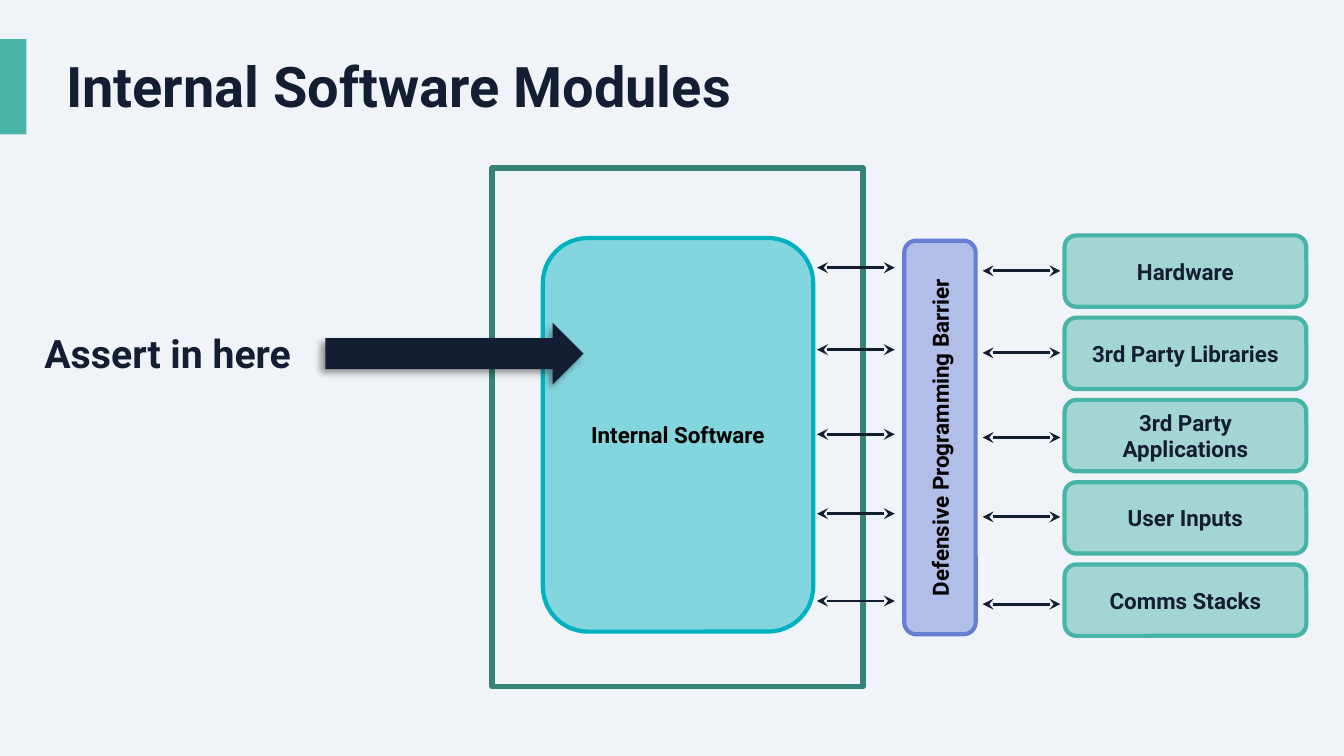
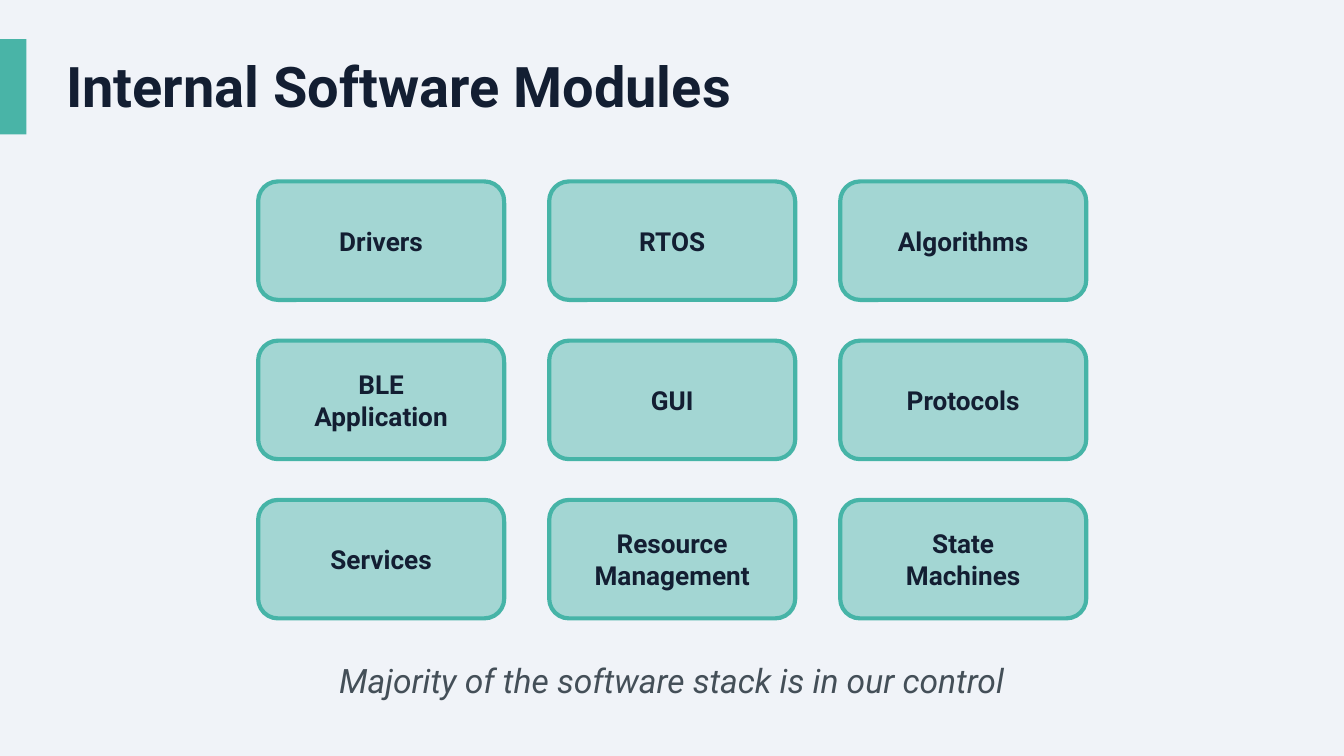
from collections import namedtuple

from pptx import Presentation
from pptx.dml.color import RGBColor
from pptx.enum.shapes import MSO_CONNECTOR, MSO_SHAPE
from pptx.enum.text import MSO_ANCHOR, MSO_AUTO_SIZE, PP_ALIGN
from pptx.oxml.ns import qn
from pptx.oxml.xmlchemy import OxmlElement
from pptx.util import Cm, Pt

# Shared look
FONT = "Roboto"
PAPER, INK, BLACK, GREY = "F0F3F8", "131E32", "000000", "444F58"
BAND, GREEN, DARK_GREEN = "49B4A7", "46B4A7", "358379"
CYAN, PURPLE = "00B1C0", "657ED4"
TITLE = "Internal Software Modules"
TITLE_ONLY = 5
TEXT_INSETS = (0.18, 0.1)
CARD_INSETS = (0.25, 0.25)

# Slide content
EXTERNALS = ["Hardware", "3rd Party Libraries", "3rd Party Applications",
             "User Inputs", "Comms Stacks"]
ARROW_DROPS = [0, 1.55, 3.15, 4.65, 6.3]
MODULES = [["Drivers", "RTOS", "Algorithms"],
           ["BLE\nApplication", "GUI", "Protocols"],
           ["Services", "Resource\nManagement", "State\nMachines"]]

# All box measures are centimetres
Box = namedtuple("Box", "left top width height")


def inside(region, left, top, width, height):
    return Box(region.left + left, region.top + top, width, height)


def lengths(box):
    return [Cm(value) for value in box]


def colour(code):
    return RGBColor.from_string(code)


def add_child(parent, tag, **attributes):
    child = OxmlElement(tag)
    for name, value in attributes.items():
        child.set(name, str(value))
    parent.append(child)
    return child


def write(shape, text, size, code=INK, bold=True, italic=False,
          align=PP_ALIGN.LEFT, anchor=MSO_ANCHOR.MIDDLE,
          insets=TEXT_INSETS, spacing=None):
    frame = shape.text_frame
    frame.text = text
    frame.word_wrap = True
    frame.auto_size = MSO_AUTO_SIZE.NONE
    frame.vertical_anchor = anchor
    frame.margin_left = frame.margin_right = Cm(insets[0])
    frame.margin_top = frame.margin_bottom = Cm(insets[1])
    for para in frame.paragraphs:
        para.alignment = align
        para.line_spacing = spacing
        for span in para.runs:
            span.font.name = FONT
            span.font.size = Pt(size)
            span.font.bold = bold
            span.font.italic = italic
            span.font.color.rgb = colour(code)


def add_text(page, box, text, size, **style):
    shape = page.shapes.add_textbox(*lengths(box))
    write(shape, text, size, **style)
    return shape


def add_block(page, kind, box, fill=None, line=None, line_width=2.25):
    shape = page.shapes.add_shape(kind, *lengths(box))
    shape.shadow.inherit = False
    if fill:
        shape.fill.solid()
        shape.fill.fore_color.rgb = colour(fill)
    else:
        shape.fill.background()
    if line:
        shape.line.color.rgb = colour(line)
        shape.line.width = Pt(line_width)
    else:
        shape.line.fill.background()
    return shape


def add_card(page, box, tint, text="", size=12, code=INK):
    """Rounded box with a translucent fill and an outline of the same tint."""
    card = add_block(page, MSO_SHAPE.ROUNDED_RECTANGLE, box, tint, tint)
    card.adjustments[0] = 0.167
    fill = card.element.spPr.find(qn("a:solidFill"))
    add_child(fill[0], "a:alpha", val=45000)
    if text:
        write(card, text, size, code, align=PP_ALIGN.CENTER, insets=CARD_INSETS)


def add_double_arrow(page, left, right, height):
    arrow = page.shapes.add_connector(
        MSO_CONNECTOR.STRAIGHT, Cm(left), Cm(height), Cm(right), Cm(height))
    arrow.line.color.rgb = colour(INK)
    arrow.line.width = Pt(1.5)
    properties = arrow.element.spPr
    outline = properties.find(qn("a:ln"))
    for end in ("a:headEnd", "a:tailEnd"):
        add_child(outline, end, type="stealth")
    add_child(properties, "a:effectLst")


def add_arrow_column(page, region):
    for drop in ARROW_DROPS:
        add_double_arrow(page, region.left, region.left + region.width,
                         region.top + drop)


def add_page(deck):
    """Page with the side band and the title."""
    page = deck.slides.add_slide(deck.slide_layouts[TITLE_ONLY])
    add_block(page, MSO_SHAPE.RECTANGLE, Box(0, 0.74, 0.5, 1.8), BAND)
    title = page.shapes.title
    title.left, title.top, title.width, title.height = lengths(
        Box(1.07, 1.02, 13.79, 1.35))
    write(title, TITLE, 30, anchor=MSO_ANCHOR.TOP, spacing=0.9)
    return page


def add_internal_software(page, region):
    add_block(page, MSO_SHAPE.RECTANGLE, region, line=DARK_GREEN, line_width=3)
    add_card(page, inside(region, 0.96, 1.32, 5.11, 7.44), CYAN,
             "Internal Software", code=BLACK)


def add_barrier(page, region):
    add_card(page, region, PURPLE)
    # The label is laid out flat around the barrier's centre, then turned
    width, height = 7.65, 1.55
    label = add_text(
        page,
        inside(region, (region.width - width) / 2,
               (region.height - height) / 2, width, height),
        "Defensive Programming Barrier", 12, code=BLACK,
        align=PP_ALIGN.CENTER, insets=CARD_INSETS)
    label.rotation = 270


def add_externals(page, region):
    card_height = 1.35
    step = (region.height - card_height) / (len(EXTERNALS) - 1)
    for index, name in enumerate(EXTERNALS):
        add_card(page, inside(region, 0, index * step, region.width,
                              card_height), GREEN, name)


def add_assert_pointer(page, region):
    add_text(page, inside(region, 0, 0, 5.28, 1.14), "Assert in here", 21)
    arrow = add_block(page, MSO_SHAPE.RIGHT_ARROW,
                      inside(region, 5.49, 0, 4.88, region.height), INK)
    effects = arrow.element.spPr.find(qn("a:effectLst"))
    shadow = add_child(effects, "a:outerShdw", blurRad=Pt(4), dist=Pt(3),
                       dir=135 * 60000, algn="bl", rotWithShape=0)
    tint = add_child(shadow, "a:srgbClr", val=BLACK)
    add_child(tint, "a:alpha", val=40000)


def build_barrier_page(deck):
    page = add_page(deck)
    add_internal_software(page, Box(9.3, 3.18, 7.01, 9.8))
    add_barrier(page, Box(17.09, 4.55, 1.35, 7.44))
    add_externals(page, Box(20.12, 4.45, 4.57, 7.57))
    add_arrow_column(page, Box(18.57, 5.12, 1.47, 6.3))
    add_arrow_column(page, Box(15.44, 5.06, 1.47, 6.3))
    add_assert_pointer(page, Box(0.66, 6.1, 10.37, 1.17))


def add_module_grid(page, region):
    width, height = 4.65, 2.24
    column_step = (region.width - width) / (len(MODULES[0]) - 1)
    row_step = (region.height - height) / (len(MODULES) - 1)
    for row, names in enumerate(MODULES):
        for column, name in enumerate(names):
            add_card(page, inside(region, column * column_step,
                                  row * row_step, width, height),
                     GREEN, name, 14)


def build_modules_page(deck):
    page = add_page(deck)
    add_text(page, Box(5.03, 12.47, 15.34, 0.89),
             "Majority of the software stack is in our control", 18,
             code=GREY, bold=False, italic=True, align=PP_ALIGN.CENTER,
             anchor=MSO_ANCHOR.TOP, spacing=0.9)
    add_module_grid(page, Box(4.88, 3.43, 15.65, 8.26))


def main():
    deck = Presentation()
    deck.slide_width, deck.slide_height = Cm(25.4), Cm(14.29)
    backdrop = deck.slide_master.background.fill
    backdrop.solid()
    backdrop.fore_color.rgb = colour(PAPER)
    build_barrier_page(deck)
    build_modules_page(deck)
    deck.save("out.pptx")


if __name__ == "__main__":
    main()
